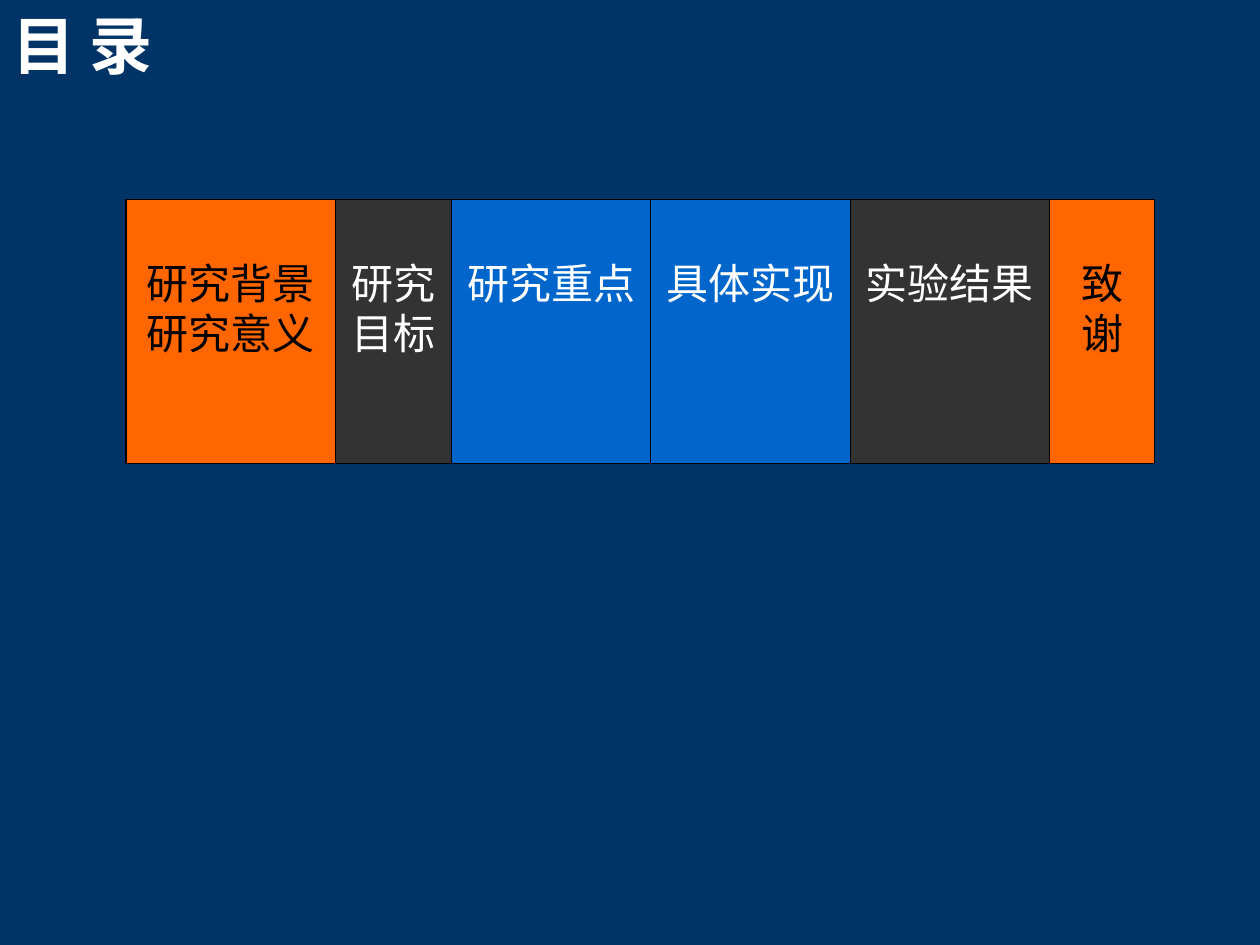
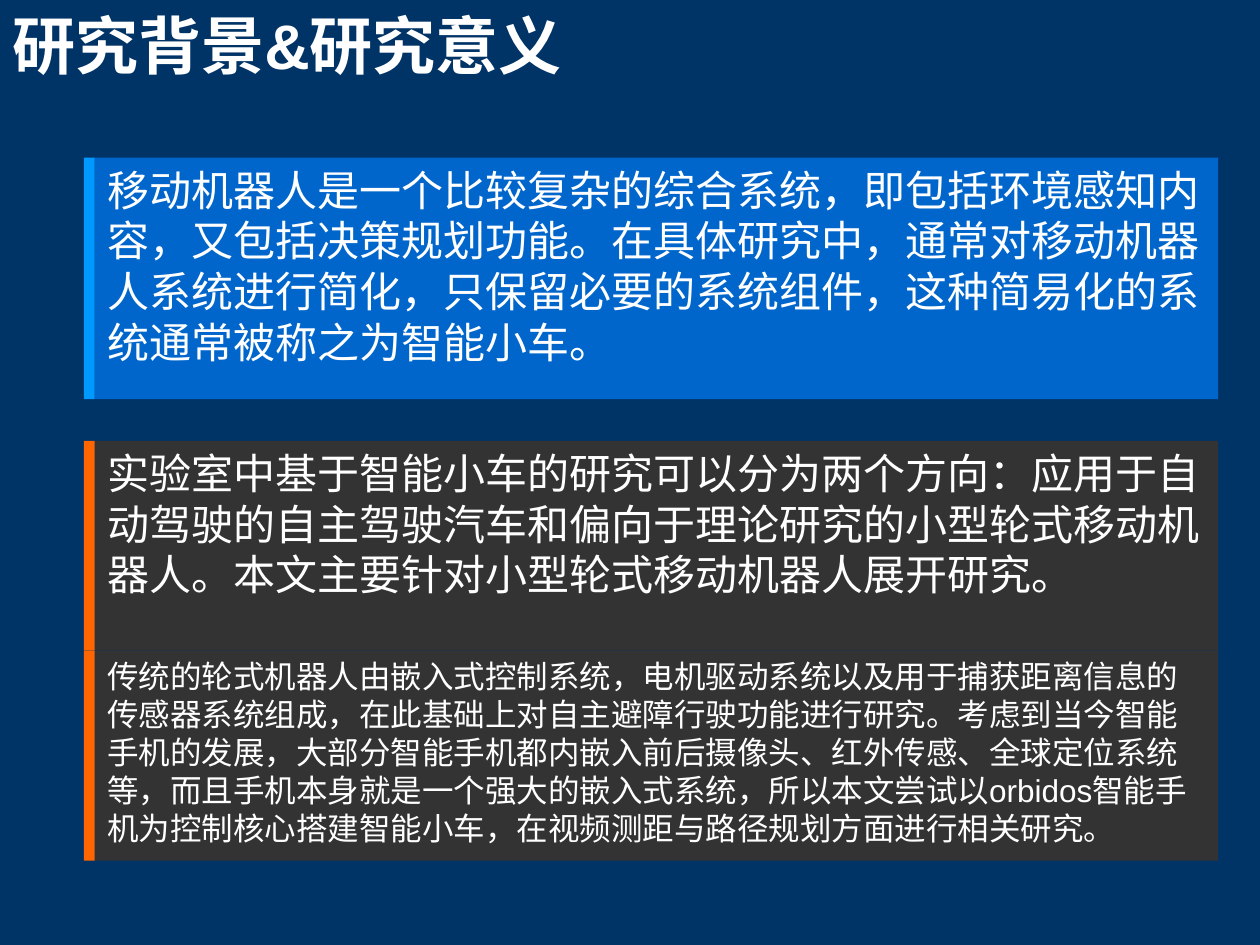
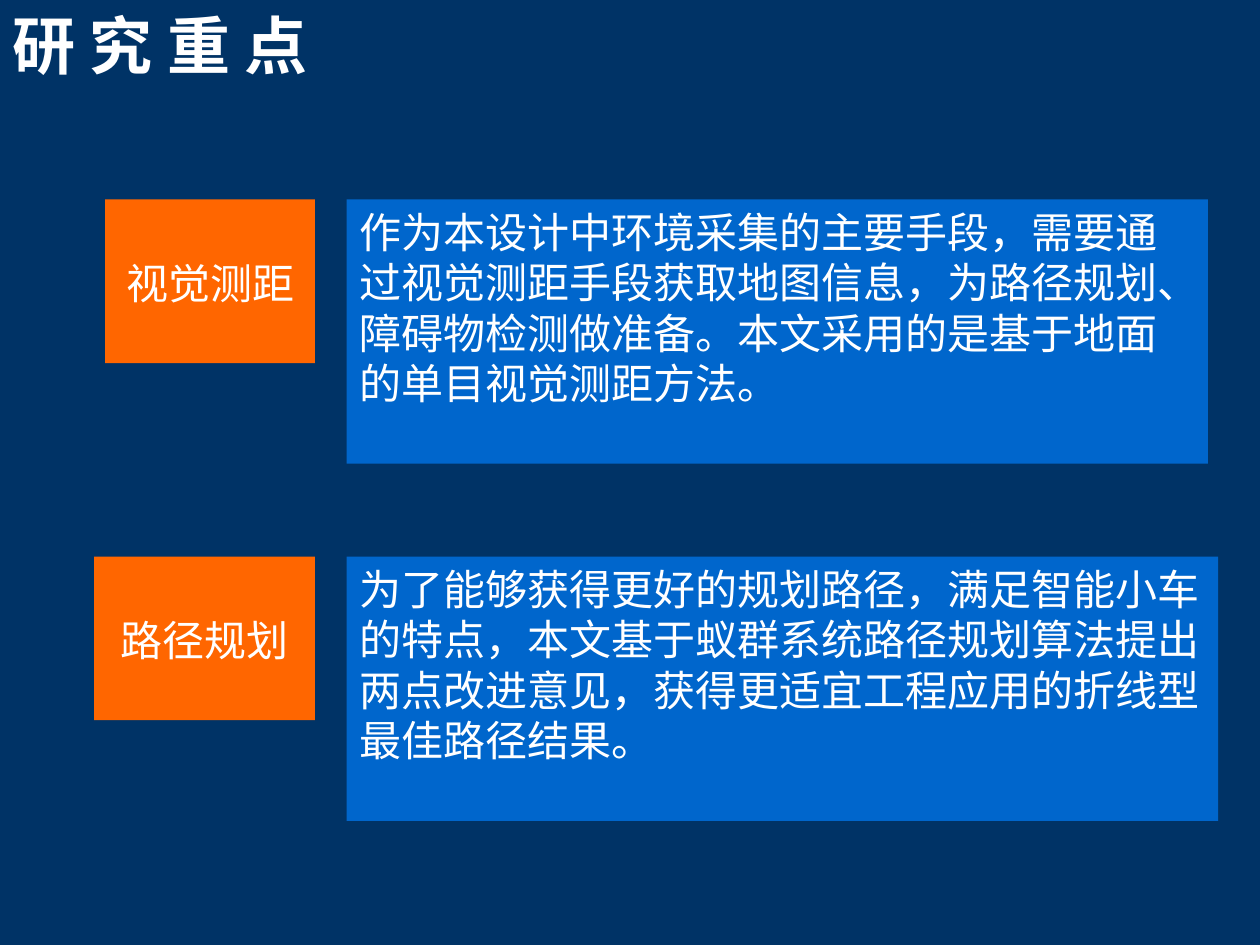
"""Build a three-slide thesis deck: contents, background and research focus."""
from dataclasses import dataclass

from lxml import etree
from pptx import Presentation
from pptx.dml.color import RGBColor
from pptx.enum.shapes import MSO_SHAPE
from pptx.enum.text import MSO_ANCHOR, MSO_AUTO_SIZE, PP_ALIGN
from pptx.oxml.ns import qn
from pptx.util import Cm, Pt

RECT = MSO_SHAPE.RECTANGLE
TOP = MSO_ANCHOR.TOP
NO_FIT = MSO_AUTO_SIZE.NONE
LEFT, CENTER = PP_ALIGN.LEFT, PP_ALIGN.CENTER


@dataclass(frozen=True)
class Theme:
    navy: RGBColor = RGBColor(0x00, 0x33, 0x66)
    blue: RGBColor = RGBColor(0x00, 0x66, 0xCC)
    sky: RGBColor = RGBColor(0x00, 0x99, 0xFF)
    orange: RGBColor = RGBColor(0xFF, 0x66, 0x00)
    gray: RGBColor = RGBColor(0x33, 0x33, 0x33)
    white: RGBColor = RGBColor(0xFF, 0xFF, 0xFF)
    black: RGBColor = RGBColor(0x00, 0x00, 0x00)
    latin: str = "Arial"
    east_asian: str = "Noto Sans CJK SC"
    title: int = 36
    body: int = 24
    small: int = 18
    leading: float = 1.205


T = Theme()


def write(sp, text, size, color, align=LEFT, bold=False, inset=0.13):
    """Fill a shape with one formatted paragraph, set from the top."""
    tf = sp.text_frame
    tf.text = text
    tf.word_wrap = True
    tf.auto_size = NO_FIT
    tf.vertical_anchor = TOP
    tf.margin_left = tf.margin_right = Cm(0.25)
    tf.margin_top, tf.margin_bottom = Cm(inset), Cm(0.13)
    p = tf.paragraphs[0]
    p.alignment = align
    p.space_before = Pt(0)
    p.line_spacing = Pt(size * T.leading)
    for r in p.runs:
        r.font.size, r.font.bold = Pt(size), bold
        r.font.color.rgb = color
        r.font.name = T.latin
        ea = etree.SubElement(r.font._element, qn("a:ea"))
        ea.set("typeface", T.east_asian)


def block(shapes, x, y, w, h, fill, outlined=False):
    """Add a flat rectangle, measured in centimetres."""
    sp = shapes.add_shape(RECT, Cm(x), Cm(y), Cm(w), Cm(h))
    sp.shadow.inherit = False
    sp.fill.solid()
    sp.fill.fore_color.rgb = fill
    if outlined:
        sp.line.color.rgb = T.black
        sp.line.width = Pt(0.75)
    else:
        sp.line.fill.background()
    return sp


prs = Presentation()
prs.slide_width, prs.slide_height = Cm(25.4), Cm(19.05)
background = prs.slide_master.background.fill
background.solid()
background.fore_color.rgb = T.navy

slides = []
for heading, height in (("目 录", 1.78), ("研究背景&研究意义", 3.3), ("研 究 重 点", 1.78)):
    s = prs.slides.add_slide(prs.slide_layouts[5])
    title = s.shapes.title
    title.left, title.top = Cm(0), Cm(0)
    title.width, title.height = Cm(11.85), Cm(height)
    write(title, heading, T.title, T.white, bold=True)
    slides.append(s)
contents, motivation, focus = slides

LABEL_INSET = 1.16
chapters = [
    ("研究背景研究意义", 4.23, T.orange, T.black),
    ("研究目标", 2.33, T.gray, T.white),
    ("研究重点", 4.02, T.blue, T.white),
    ("具体实现", 4.02, T.blue, T.white),
    ("实验结果", 4.02, T.gray, T.white),
    ("致谢", 2.12, T.orange, T.black),
]
x = 2.54
for name, width, fill, color in chapters:
    sp = block(contents.shapes, x, 4.02, width, 5.33, fill, outlined=True)
    write(sp, name, T.body, color, CENTER, inset=LABEL_INSET)
    x += width

BAR_X, BAR_W, CARD_W = 1.69, 0.22, 22.65
cards = [
    (3.18, 4.87, T.blue, T.sky, [
        ("移动机器人是一个比较复杂的综合系统，即包括环境感知内容，又包括决策规划功能。"
         "在具体研究中，通常对移动机器人系统进行简化，只保留必要的系统组件，"
         "这种简易化的系统通常被称之为智能小车。", T.body),
    ]),
    (8.89, 4.23, T.gray, T.orange, [
        ("实验室中基于智能小车的研究可以分为两个方向：应用于自动驾驶的自主驾驶汽车和"
         "偏向于理论研究的小型轮式移动机器人。本文主要针对小型轮式移动机器人展开研究。", T.body),
        ("传统的轮式机器人由嵌入式控制系统，电机驱动系统以及用于捕获距离信息的传感器系统组成，"
         "在此基础上对自主避障行驶功能进行研究。考虑到当今智能手机的发展，"
         "大部分智能手机都内嵌入前后摄像头、红外传感、全球定位系统等，"
         "而且手机本身就是一个强大的嵌入式系统，所以本文尝试以orbidos智能手机为控制核心"
         "搭建智能小车，在视频测距与路径规划方面进行相关研究。", T.small),
    ]),
]
for y, height, fill, accent, texts in cards:
    group = motivation.shapes.add_group_shape()
    for i, (text, size) in enumerate(texts):
        top = y + i * height
        sp = block(group.shapes, BAR_X + BAR_W, top, CARD_W, height, fill)
        write(sp, text, size, T.white)
        block(group.shapes, BAR_X, top, BAR_W, height, accent)

LABEL_RIGHT, TEXT_X = 6.35, 6.99
topics = [
    (4.02, "视觉测距", 4.23, 17.36,
     "作为本设计中环境采集的主要手段，需要通过视觉测距手段获取地图信息，"
     "为路径规划、障碍物检测做准备。本文采用的是基于地面的单目视觉测距方法。"),
    (11.22, "路径规划", 4.45, 17.57,
     "为了能够获得更好的规划路径，满足智能小车的特点，本文基于蚁群系统路径规划算法"
     "提出两点改进意见，获得更适宜工程应用的折线型最佳路径结果。"),
]
for y, name, label_w, text_w, text in topics:
    sp = block(focus.shapes, LABEL_RIGHT - label_w, y, label_w, 3.3, T.orange)
    write(sp, name, T.body, T.white, CENTER, inset=LABEL_INSET)
    sp = block(focus.shapes, TEXT_X, y, text_w, 5.33, T.blue)
    write(sp, text, T.body, T.white)

prs.save("out.pptx")
